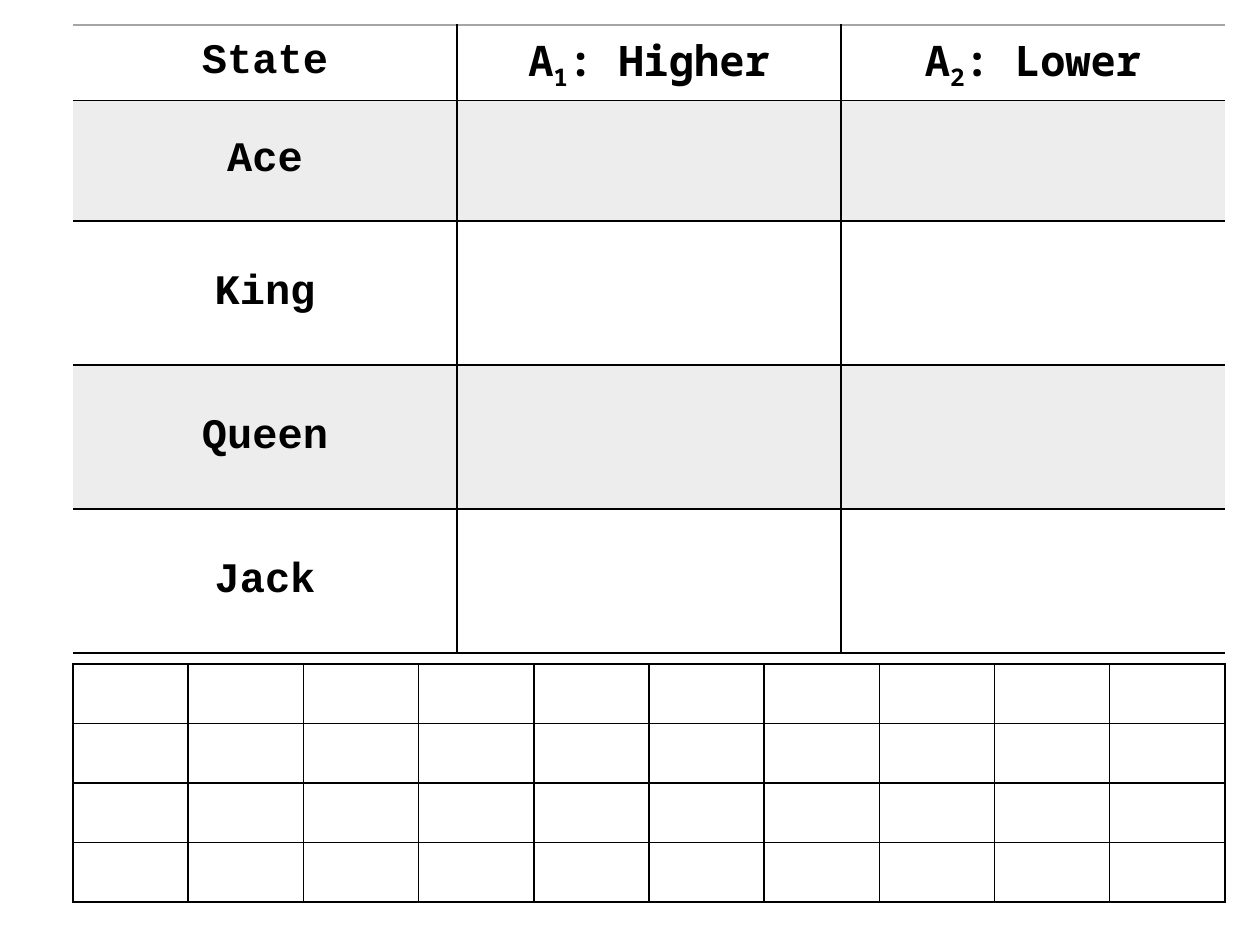
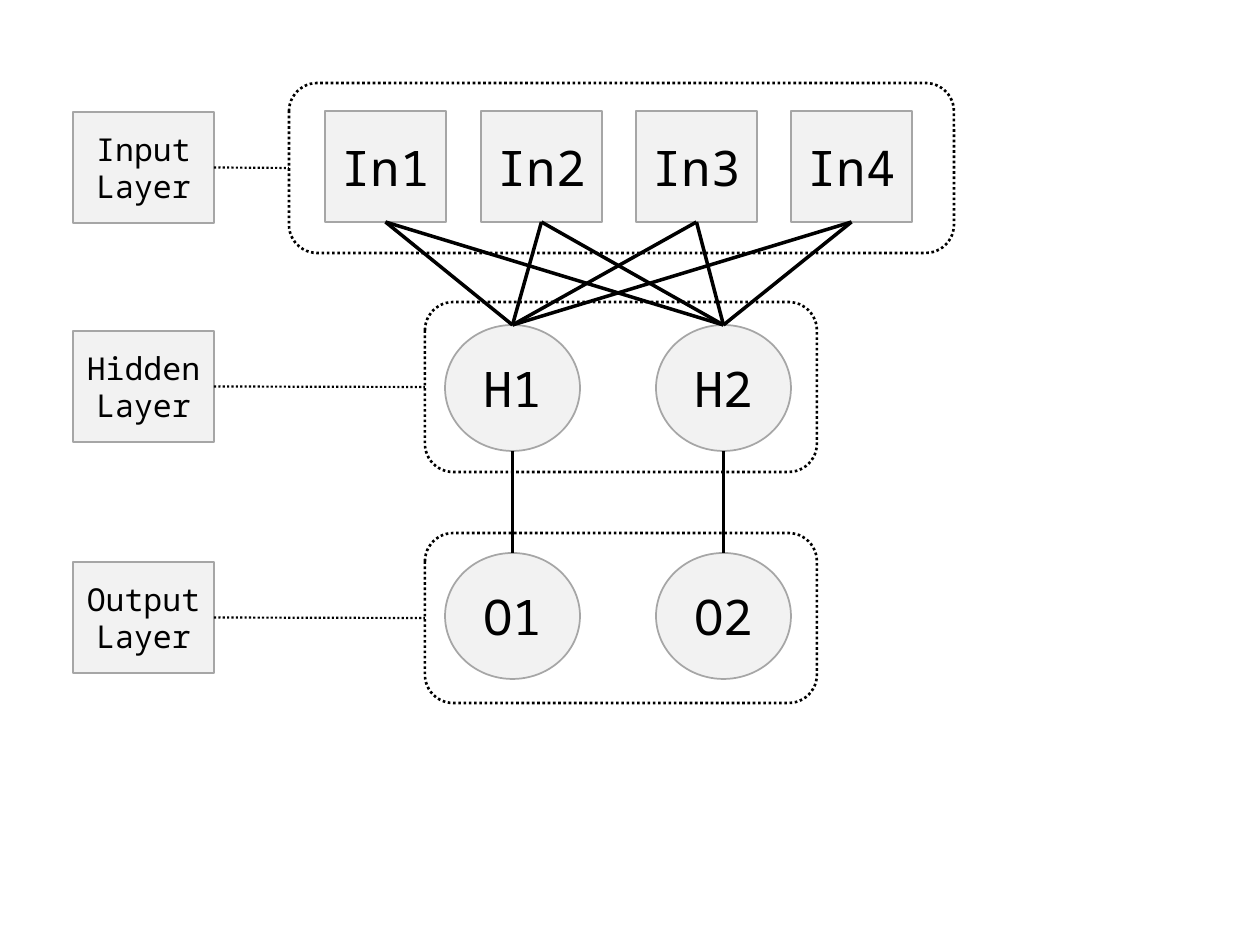
from lxml import etree
from pptx import Presentation
from pptx import util as u
from pptx.dml.color import RGBColor
from pptx.enum import dml, shapes, text
from pptx.oxml import ns

BLACK = RGBColor(0x00, 0x00, 0x00)
GRAY = RGBColor(0xA5, 0xA5, 0xA5)
EDGE = RGBColor(0xA6, 0xA6, 0xA6)
BAND = RGBColor(0xED, 0xED, 0xED)
PALE = RGBColor(0xF2, 0xF2, 0xF2)
MONO = "Noto Sans Mono"
COURIER = "Courier New"
LEFT = 73
SHAPE = shapes.MSO_SHAPE


def px(n):
    return u.Emu(round(n * 914400 / 126))


def style(run, size, face=MONO, bold=False):
    font = run.font
    font.size, font.name, font.bold = u.Pt(size), face, bold
    font.color.rgb = BLACK


# ---- Tables ----

def border(cell, sides):
    """Sides gives left, right, top and bottom colours; None means no line."""
    props = cell._tc.get_or_add_tcPr()
    for i, (side, color) in enumerate(zip("LRTB", sides)):
        line = etree.Element(ns.qn("a:ln" + side), w=str(u.Pt(1)))
        if color is None:
            etree.SubElement(line, ns.qn("a:noFill"))
        else:
            fill = etree.SubElement(line, ns.qn("a:solidFill"))
            etree.SubElement(fill, ns.qn("a:srgbClr"), val=str(color))
        props.insert(i, line)


def add_grid(slide, box, cols, rows):
    """Add a plain table with equal columns and the given row heights."""
    x, y, w, h = map(px, box)
    grid = slide.shapes.add_table(len(rows), cols, x, y, w, h).table
    grid.first_row = grid.horz_banding = False
    for col in grid.columns:
        col.width = w // cols
    for row, size in zip(grid.rows, rows):
        row.height = px(size)
    for cell in grid.iter_cells():
        cell.fill.background()
    return grid


def write_cell(cell, words, face):
    """Words at odd places are subscripts."""
    cell.vertical_anchor = text.MSO_ANCHOR.MIDDLE
    para = cell.text_frame.paragraphs[0]
    para.alignment = text.PP_ALIGN.CENTER
    for i, word in enumerate(words):
        run = para.add_run()
        run.text = word
        style(run, 24, face, bold=True)
        if i % 2:
            run.font._element.set("baseline", "-25000")


def state_table(slide, box):
    heads = [["State"], ["A", "1", ": Higher"], ["A", "2", ": Lower"]]
    states = ["Ace", "King", "Queen", "Jack"]
    grid = add_grid(slide, box, len(heads), [59, 121, 144, 144, 144])

    # Header row and state names
    for c, words in enumerate(heads):
        write_cell(grid.cell(0, c), words, MONO if c else COURIER)
    for r, name in enumerate(states, 1):
        write_cell(grid.cell(r, 0), [name], COURIER)

    # Bands and open outer sides
    last = len(heads) - 1
    for r in range(len(states) + 1):
        for c in range(len(heads)):
            cell = grid.cell(r, c)
            if r % 2:
                cell.fill.solid()
                cell.fill.fore_color.rgb = BAND
            border(cell, [BLACK if c else None,
                          BLACK if c < last else None,
                          BLACK if r else GRAY, BLACK])


def blank_grid(slide, box):
    rows = 4
    grid = add_grid(slide, box, 10, [box[3] / rows] * rows)
    for cell in grid.iter_cells():
        border(cell, [BLACK] * 4)


# ---- Network ----

def add_box(slide, kind, box, words, size):
    node = slide.shapes.add_shape(kind, *map(px, box))
    node.shadow.inherit = False
    node.fill.solid()
    node.fill.fore_color.rgb = PALE
    node.line.color.rgb = EDGE
    node.line.width = u.Pt(1)
    frame = node.text_frame
    frame.text = words
    frame.word_wrap = True
    frame.vertical_anchor = text.MSO_ANCHOR.MIDDLE
    for para in frame.paragraphs:
        para.alignment = text.PP_ALIGN.CENTER
        style(para.runs[0], size)
    return node


def dot(line, width):
    line.color.rgb = BLACK
    line.width = u.Pt(width)
    line.dash_style = dml.MSO_LINE.ROUND_DOT


def add_link(slide, start, end, side):
    """Run from the bottom (0) or right (1) of start to a side of end."""
    x = start.left + (start.width if side else start.width // 2)
    y = start.top + (start.height // 2 if side else start.height)
    link = slide.shapes.add_connector(shapes.MSO_CONNECTOR.STRAIGHT, x, y, x, y)
    if start.auto_shape_type == SHAPE.RECTANGLE:
        link.begin_connect(start, 3 if side else 2)
    link.end_connect(end, side)
    link.line.color.rgb = BLACK
    link.line.width = u.Pt(2)
    etree.SubElement(link._element.spPr, ns.qn("a:effectLst"))
    return link


def layer(slide, box, title, names, kind, size, pad, step):
    """Draw one layer in its dotted frame, with its label at the left."""
    x, y, _, _ = box
    nodes = [add_box(slide, kind,
                     (x + pad[0] + round(i * step), y + pad[1], *size), name, 28)
             for i, name in enumerate(names)]
    frame = slide.shapes.add_shape(SHAPE.ROUNDED_RECTANGLE, *map(px, box))
    frame.shadow.inherit = False
    frame.fill.background()
    dot(frame.line, 1.5)
    label = add_box(slide, SHAPE.RECTANGLE, (LEFT, y + 29, 141, 111), title, 18)
    dot(add_link(slide, label, frame, 1).line, 1.25)
    return nodes


def network(slide):
    ins = layer(slide, (289, 83, 665, 170), "Input Layer",
                ["In1", "In2", "In3", "In4"], SHAPE.RECTANGLE,
                (121, 111), (36, 28), 155.5)
    hid = layer(slide, (425, 302, 392, 170), "Hidden\nLayer",
                ["H1", "H2"], SHAPE.OVAL, (135, 126), (20, 23), 211)
    outs = layer(slide, (425, 533, 392, 170), "Output Layer",
                 ["O1", "O2"], SHAPE.OVAL, (135, 126), (20, 20), 211)

    # Every input feeds every hidden node; each hidden node feeds one output
    for end in hid:
        for start in ins:
            add_link(slide, start, end, 0)
    for start, end in zip(hid, outs):
        add_link(slide, start, end, 0)


def main():
    deck = Presentation()
    deck.slide_width, deck.slide_height = px(1260), px(945)
    blank = deck.slide_layouts[6]

    tables = deck.slides.add_slide(blank)
    state_table(tables, (LEFT, 25, 1152, 612))
    blank_grid(tables, (LEFT, 664, 1152, 238))

    network(deck.slides.add_slide(blank))
    deck.save("out.pptx")


if __name__ == "__main__":
    main()
